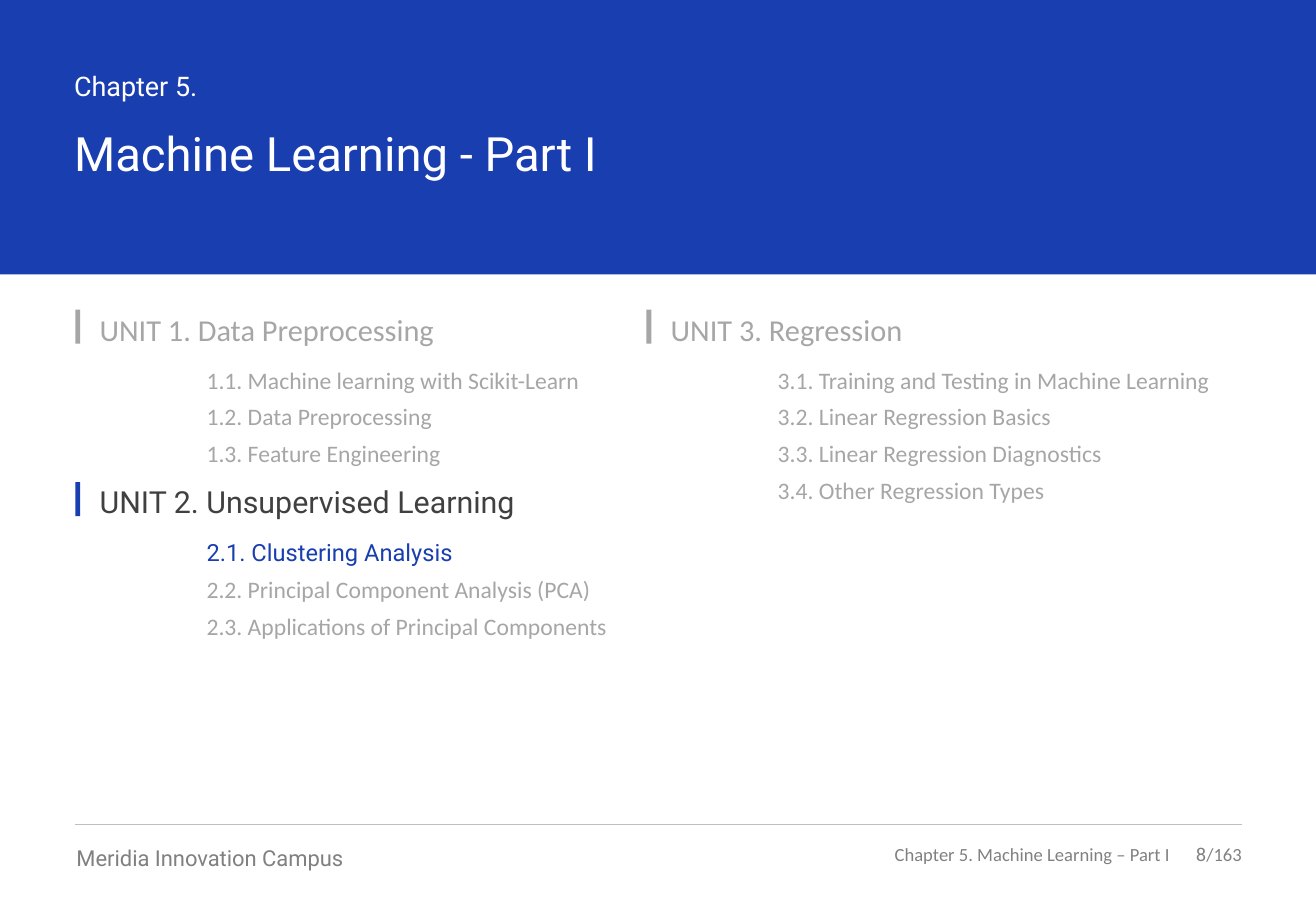
from dataclasses import dataclass

from pptx import Presentation
from pptx.dml.color import RGBColor
from pptx.enum.shapes import MSO_CONNECTOR, MSO_SHAPE
from pptx.enum.text import MSO_ANCHOR, PP_ALIGN
from pptx.oxml.ns import qn
from pptx.util import Inches, Pt
from lxml import etree

RECT = MSO_SHAPE.RECTANGLE
STRAIGHT = MSO_CONNECTOR.STRAIGHT
TOP, MIDDLE = MSO_ANCHOR.TOP, MSO_ANCHOR.MIDDLE
LEFT, RIGHT = PP_ALIGN.LEFT, PP_ALIGN.RIGHT


@dataclass(frozen=True)
class Theme:
    """Colours, fonts and type sizes of the slide."""
    blue: str = "193EB0"
    white: str = "FFFFFF"
    dark: str = "404040"
    mid: str = "808080"
    pale: str = "A6A6A6"
    rule: str = "BFBFBF"
    plain: str = "Calibri"
    strong: str = "Roboto"
    title: int = 28
    unit: int = 18
    chapter: int = 16
    topic: int = 14
    brand: int = 13
    foot: int = 11


class Deck:
    """Draws styled elements on the current slide."""

    def __init__(self, theme, width, height):
        """Open a deck with one blank slide."""
        self.theme = theme
        self.file = Presentation()
        self.file.slide_width = Inches(width)
        self.file.slide_height = Inches(height)
        self.slide = self.file.slides.add_slide(self.file.slide_layouts[6])

    def block(self, x, y, w, h, color):
        """Add a filled rectangle."""
        shape = self.slide.shapes.add_shape(RECT, *map(Inches, (x, y, w, h)))
        shape.shadow.inherit = False
        shape.fill.solid()
        shape.fill.fore_color.rgb = RGBColor.from_string(color)
        shape.line.fill.background()

    def rule(self, x, y, end):
        """Add a thin level line."""
        line = self.slide.shapes.add_connector(
            STRAIGHT, Inches(x), Inches(y), Inches(end), Inches(y))
        line.line.color.rgb = RGBColor.from_string(self.theme.rule)
        line.line.width = Pt(0.5)
        etree.SubElement(line._element.spPr, qn("a:effectLst"))

    def text(self, box, lines, size, anchor=TOP, align=LEFT, after=0, wrap=True):
        """Add a text box of (words, font, colour) lines."""
        frame = self.slide.shapes.add_textbox(*map(Inches, box)).text_frame
        frame.margin_left = frame.margin_right = 0
        frame.margin_top = frame.margin_bottom = 0
        frame.word_wrap = wrap
        frame.vertical_anchor = anchor
        for i, (words, font, color) in enumerate(lines):
            para = frame.add_paragraph() if i else frame.paragraphs[0]
            para.alignment = align
            para.space_after = Pt(after)
            para.font.size = Pt(size)
            para.font.name = font
            para.font.color.rgb = RGBColor.from_string(color)
            para.add_run().text = words
        return frame

    def unit(self, x, y, name, topics, active=None):
        """Add a unit heading, its bar and topics, with one topic active."""
        look = self.theme
        live = active is not None
        pale = (look.plain, look.pale)
        head = (look.strong, look.dark) if live else pale
        self.block(x, y, 0.04, 0.28, look.blue if live else look.pale)
        self.text((x + 0.2, y + 0.01, 4.8, 0.3), [(name, *head)],
                  look.unit, MIDDLE, after=6)
        lines = [(topic, *((look.strong, look.blue) if i == active else pale))
                 for i, topic in enumerate(topics)]
        self.text((x + 1.08, y + 0.46, 4.2, 0.3 * len(topics)), lines,
                  look.topic, after=5)


def main():
    """Build and save the chapter slide."""
    look = Theme()
    deck = Deck(look, 10.83, 7.5)
    deck.block(0, 0, 10.83, 2.26, look.blue)
    deck.text((0.61, 0.57, 1.18, 0.27),
              [("Chapter 5.", look.strong, look.white)], look.chapter, wrap=False)
    deck.text((0.61, 1.02, 6.04, 0.47),
              [("Machine Learning - Part I", look.strong, look.white)], look.title)

    deck.unit(0.62, 2.55, "UNIT 1. Data Preprocessing", [
        "1.1. Machine learning with Scikit-Learn",
        "1.2. Data Preprocessing",
        "1.3. Feature Engineering"])
    deck.unit(0.62, 3.97, "UNIT 2. Unsupervised Learning", [
        "2.1. Clustering Analysis",
        "2.2. Principal Component Analysis (PCA)",
        "2.3. Applications of Principal Components"], active=0)
    deck.unit(5.32, 2.55, "UNIT 3. Regression", [
        "3.1. Training and Testing in Machine Learning",
        "3.2. Linear Regression Basics",
        "3.3. Linear Regression Diagnostics",
        "3.4. Other Regression Types"])

    deck.rule(0.62, 6.79, 10.22)
    deck.text((0.63, 6.95, 3.16, 0.22),
              [("Meridia Innovation Campus", look.strong, look.mid)], look.brand)
    deck.text((7.16, 6.94, 2.47, 0.19),
              [("Chapter 5. Machine Learning – Part I", look.plain, look.mid)],
              look.foot, MIDDLE, RIGHT, wrap=False)
    page = deck.text((9.63, 6.94, 0.59, 0.19), [("8", look.strong, look.mid)],
                     look.foot, MIDDLE, RIGHT)
    total = page.paragraphs[0].add_run()
    total.text = "/163"
    total.font.name = look.plain
    deck.file.save("out.pptx")


if __name__ == "__main__":
    main()
